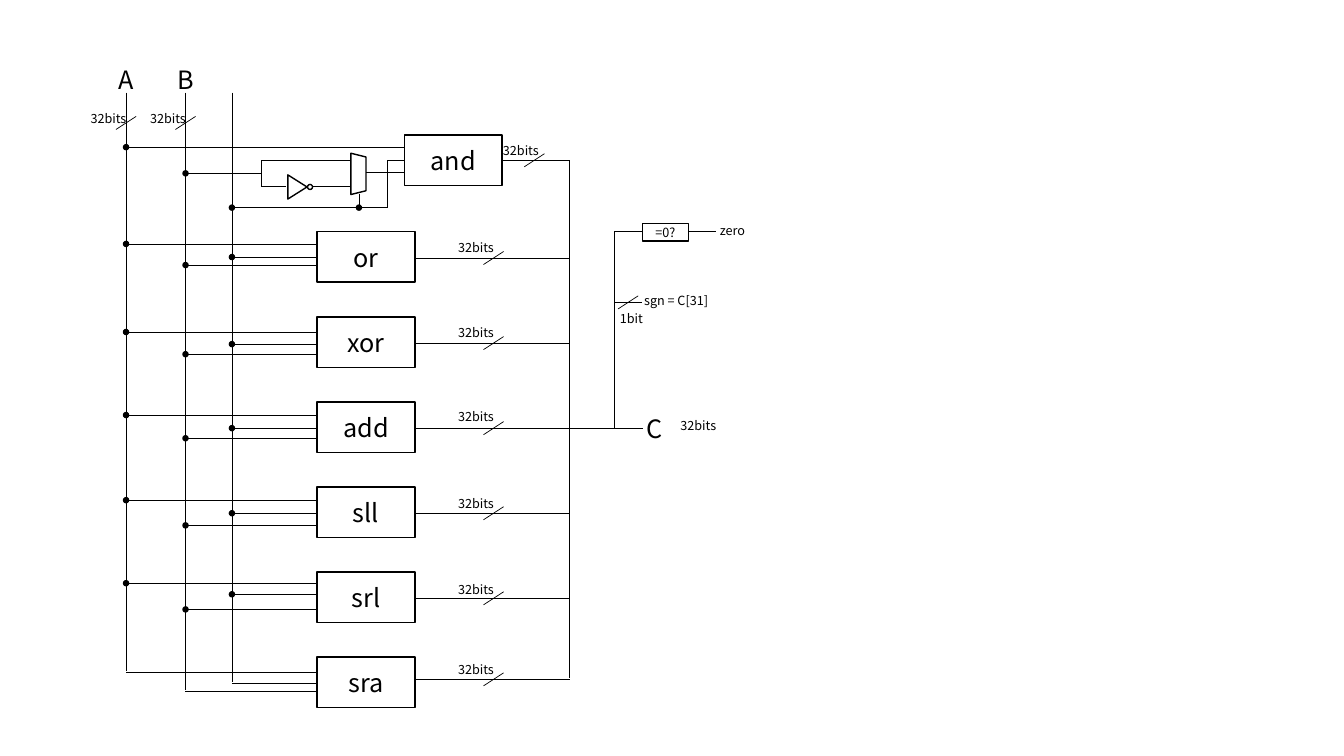
"""Draw the datapath of a 32-bit arithmetic logic unit on one slide."""
from lxml import etree
from pptx import Presentation
from pptx import util as u
from pptx.dml.color import RGBColor
from pptx.enum import shapes, text
from pptx.oxml import ns

COLORS = {"ink": "000000", "paper": "FFFFFF"}
FONT = "Noto Sans CJK SC"
COLUMNS, ROWS = 1333, 750
CELL = u.Inches(0.01)
LARGE, SMALL = 18, 9
BUS_A, BUS_B, BUS_SELECT, BUS_RESULT, BUS_FLAGS = 125, 184, 230, 565, 609
BUS_TOP = 92
RESULT_ROW = 425
GATE_WIDTH, GATE_HEIGHT = 97, 50
GATE_LEFT, FIRST_GATE, GATE_PITCH = 314.5, 230, 84.4
GATES = [
    ("or", 12, 33, 25, 26, 3),
    ("xor", 15, 37, 27, 26, 3),
    ("add", 13, 36, 26, 26, 2),
    ("sll", 13, 38, 26, 26, 4),
    ("srl", 11, 37, 22, 26, 5),
    ("sra", 15, 34, 26, 22, 0),
]


def cells(*lengths):
    """Turn grid cells into slide lengths."""
    return [round(length * CELL) for length in lengths]


def color(name):
    """Look up a palette colour."""
    return RGBColor.from_string(COLORS[name])


def wire(slide, x1, y1, x2, y2):
    """Draw a thin straight wire."""
    line = slide.shapes.add_connector(
        shapes.MSO_CONNECTOR.STRAIGHT, *cells(x1, y1, x2, y2))
    line.line.color.rgb = color("ink")
    line.line.width = u.Pt(0.5)
    etree.SubElement(line._element.spPr, ns.qn("a:effectLst"))


def write(frame, words, size):
    """Add one run of text to a frame."""
    frame.word_wrap = True
    run = frame.paragraphs[0].add_run()
    run.text = words
    run.font.name = FONT
    run.font.size = u.Pt(size)
    run.font.color.rgb = color("ink")


def part(slide, kind, box, fill="paper", words=None, size=LARGE, turn=0):
    """Draw an outlined circuit part, with a name if given."""
    symbol = slide.shapes.add_shape(kind, *cells(*box))
    symbol.shadow.inherit = False
    symbol.rotation = turn
    symbol.fill.solid()
    symbol.fill.fore_color.rgb = color(fill)
    symbol.line.color.rgb = color("ink")
    symbol.line.width = u.Pt(1)
    if words:
        frame = symbol.text_frame
        frame.vertical_anchor = text.MSO_ANCHOR.MIDDLE
        frame.margin_top = frame.margin_bottom = 0
        frame.margin_left = frame.margin_right = 0
        frame.paragraphs[0].alignment = text.PP_ALIGN.CENTER
        write(frame, words, size)


def label(slide, words, left, top, width=61, height=40, size=SMALL):
    """Place a free-standing label."""
    frame = slide.shapes.add_textbox(*cells(left, top, width, height)).text_frame
    write(frame, words, size)
    frame.auto_size = text.MSO_AUTO_SIZE.SHAPE_TO_FIT_TEXT


def dot(slide, x, y, fill="ink"):
    """Draw a small circle centred on a point."""
    part(slide, shapes.MSO_SHAPE.OVAL, (x - 2.5, y - 2.5, 5, 5), fill)


def slash(slide, x, y):
    """Mark the width of a wire with a slanted stroke."""
    wire(slide, x + 10, y - 6.5, x - 10, y + 6.5)


def input_buses(slide, top):
    """Draw the two operand buses and the select bus."""
    for name, x, bottom in (("A", BUS_A, 666), ("B", BUS_B, 685)):
        wire(slide, x, top, x, bottom)
        label(slide, name, x - 17.5, top - 33, 39, 40, LARGE)
        label(slide, "32bits", x - 45, top + 13.5)
        slash(slide, x, top + 30)
    wire(slide, BUS_SELECT, top, BUS_SELECT, 677)


def and_stage(slide, left, top):
    """Draw the and gate with its inverter and multiplexer."""
    kinds = shapes.MSO_SHAPE
    split, mux, select = left - 142, left - 53, left - 17
    high, middle, low, control = top + 25, top + 38, top + 51, top + 72
    wire(slide, BUS_A, top + 12, left, top + 12)
    wire(slide, BUS_B, middle, split, middle)
    wire(slide, split, high, split, low)
    wire(slide, split, high, mux, high)
    wire(slide, split, low, left - 117, low)
    wire(slide, left - 91, low, mux, low)
    wire(slide, mux + 15, middle - 1, left, middle - 1)
    wire(slide, BUS_SELECT, control, select, control)
    wire(slide, select, control, select, high)
    wire(slide, select, high, left, high)
    wire(slide, mux + 8, top + 58, mux + 8, control)
    part(slide, kinds.RECTANGLE, (left, top, GATE_WIDTH, GATE_HEIGHT), words="and")
    part(slide, kinds.TRAPEZOID, (left - 66, top + 31, 41, 15), turn=90)
    part(slide, kinds.ISOSCELES_TRIANGLE, (left - 118, top + 42, 24, 19), turn=90)
    dot(slide, left - 93.5, low + 0.5, "paper")
    for x, y in ((BUS_A, top + 12), (BUS_B, middle),
                 (BUS_SELECT, control), (mux + 8, control)):
        dot(slide, x, y)
    wire(slide, left + GATE_WIDTH, high, BUS_RESULT, high)
    slash(slide, left + 129, high)
    label(slide, "32bits", left + 88, top + 3)


def gate_stage(slide, left, top, gate, tapped):
    """Draw a gate with three inputs and a labelled output."""
    name, *inputs, output, label_row = gate
    right, result = left + GATE_WIDTH, top + output
    for x, row in zip((BUS_A, BUS_B, BUS_SELECT), inputs):
        wire(slide, x, top + row, left, top + row)
        if tapped:
            dot(slide, x, top + row)
    part(slide, shapes.MSO_SHAPE.RECTANGLE,
         (left, top, GATE_WIDTH, GATE_HEIGHT), words=name)
    wire(slide, right, result, BUS_RESULT, result)
    slash(slide, right + 78, result)
    label(slide, "32bits", right + 33, top + label_row)


def result_stage(slide, left, row):
    """Draw the result bus, the C output and its status flags."""
    zero, sign, end = row - 195, row - 125, left + 28
    wire(slide, BUS_RESULT, 159, BUS_RESULT, 673)
    wire(slide, BUS_RESULT, row, end + 1, row)
    label(slide, "C", left + 22, row - 20, size=LARGE)
    label(slide, "32bits", left + 56, row - 15)
    wire(slide, left, zero, left, row)
    wire(slide, left, zero, end, zero)
    part(slide, shapes.MSO_SHAPE.RECTANGLE, (end, zero - 8, 46, 17),
         words="=0?", size=SMALL)
    wire(slide, end + 46, zero, end + 73, zero)
    label(slide, "zero", end + 67, zero - 14, height=25)
    wire(slide, left, sign, end, sign)
    slash(slide, left + 14, sign)
    label(slide, "sgn = C[31]", left + 20, sign - 14, 98, 25)
    label(slide, "1bit", left - 4, sign + 4)


def main():
    """Build and save the presentation."""
    deck = Presentation()
    deck.slide_width, deck.slide_height = cells(COLUMNS, ROWS)
    slide = deck.slides.add_slide(deck.slide_layouts[6])
    input_buses(slide, BUS_TOP)
    and_stage(slide, 401, 134)
    for index, gate in enumerate(GATES):
        gate_stage(slide, GATE_LEFT, FIRST_GATE + index * GATE_PITCH, gate,
                   index < len(GATES) - 1)
    result_stage(slide, BUS_FLAGS, RESULT_ROW)
    deck.save("out.pptx")


if __name__ == "__main__":
    main()
